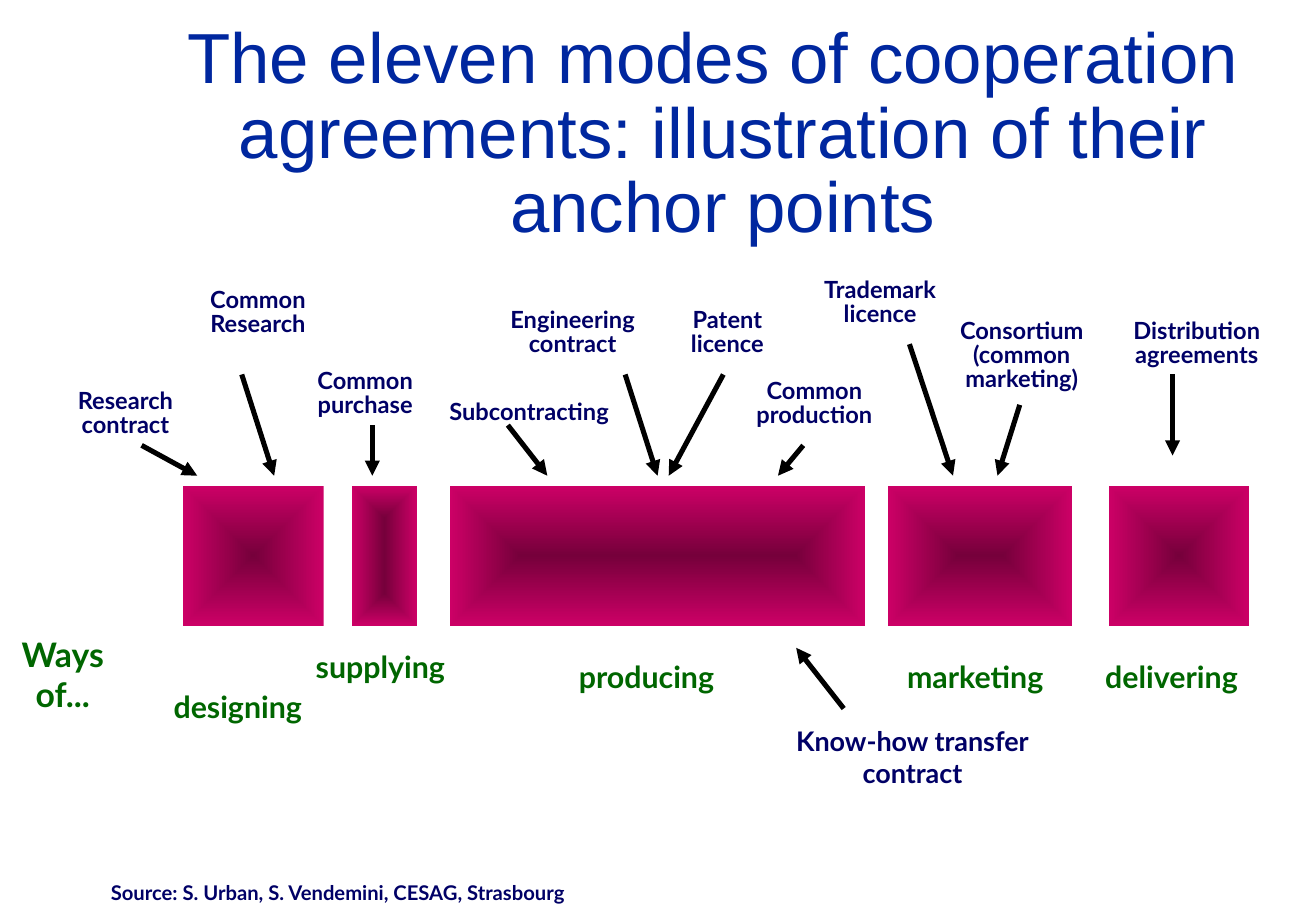
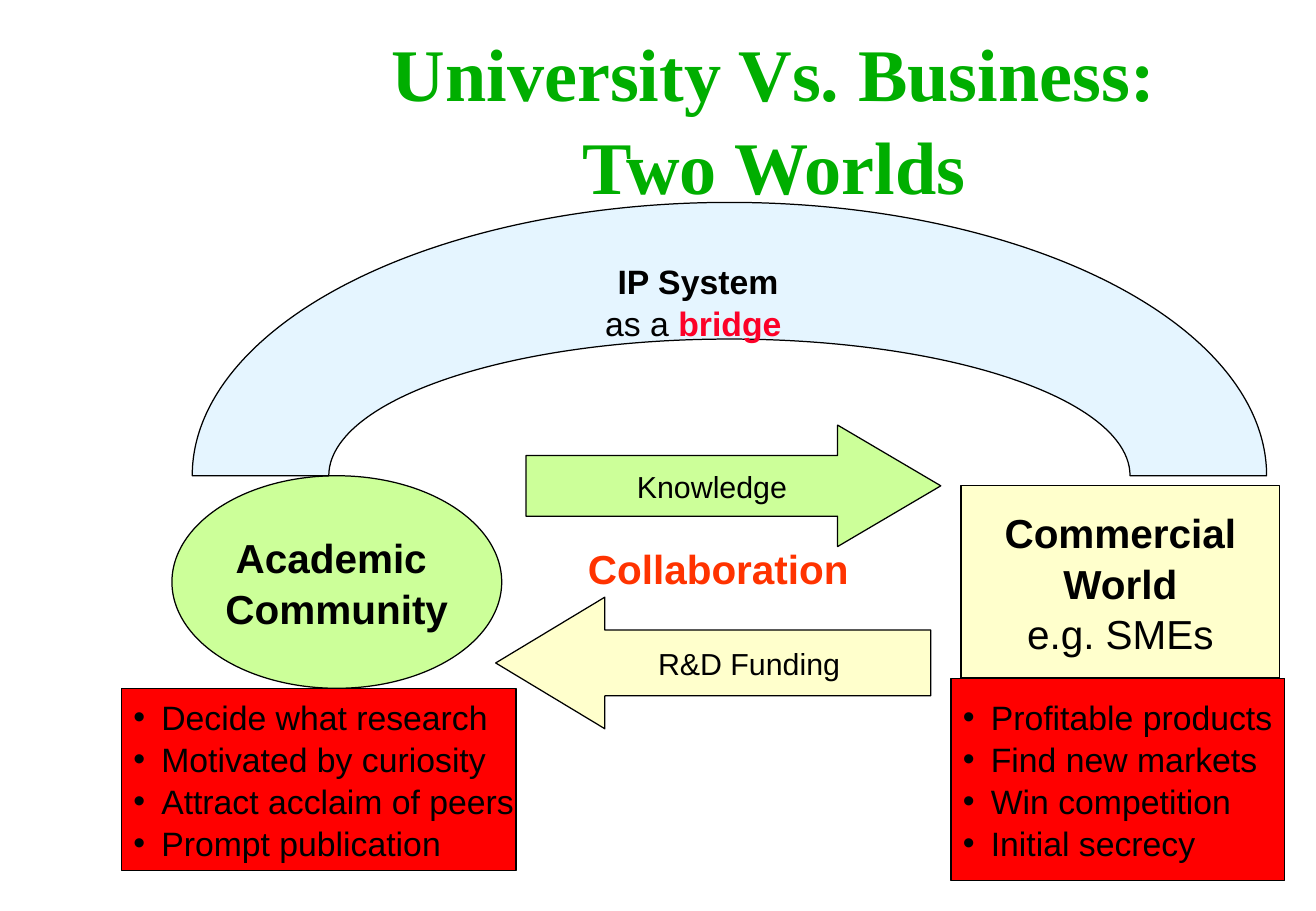
from dataclasses import dataclass, replace

import pptx
import pptx.util
from lxml import etree
from pptx.dml.color import RGBColor
from pptx.enum.shapes import MSO_CONNECTOR, MSO_SHAPE
from pptx.enum.text import MSO_ANCHOR, MSO_AUTO_SIZE, PP_ALIGN
from pptx.oxml import parse_xml
from pptx.oxml.ns import nsdecls, qn


# --- Theme -----------------------------------------------------------------
@dataclass(frozen=True)
class Type:
    font: str
    size: int
    color: str
    bold: bool = False
    spacing: float = 1.0


class Theme:
    black = "000000"
    stage_core, stage_edge = "76003B", "CC0066"
    green, cream, red, sky = "CCFF99", "FFFFCC", "FF0000", "CCECFF"

    modes_title = Type("Arial", 42, "00279F", spacing=0.88)
    worlds_title = Type("Times New Roman", 44, "00AE00", True, 1.04)
    mode = Type("Lato", 14, "000066", True, 0.85)
    transfer = Type("Lato", 16, "000066", True)
    source = Type("Lato", 12, "000066", True)
    stage = Type("Lato", 18, "006600", True)
    ways = Type("Lato", 20, "006600", True)
    body = Type("Arial", 20, black, spacing=1.04)
    body_bold = replace(body, bold=True)
    flow = replace(body, size=18)
    world = replace(body, size=24)
    world_bold = replace(world, bold=True)
    bridge = replace(body_bold, color="FC0128")
    collaboration = replace(world_bold, color="FF3300")


# --- Grid: square cells, twelve to the inch ----------------------------------
CELLS_PER_INCH = 12
SLIDE_WIDTH, SLIDE_HEIGHT = 10.84, 7.5
LABEL_WIDTH = 20


def cells(*counts):
    return [pptx.util.Inches(count / CELLS_PER_INCH) for count in counts]


# --- Elements ----------------------------------------------------------------
def write(frame, lines, style, align=PP_ALIGN.CENTER, wrap=True):
    """Each line is a string, or a list of (words, style) pairs."""
    frame.word_wrap = wrap
    frame.auto_size = MSO_AUTO_SIZE.NONE
    for index, line in enumerate(lines):
        para = frame.add_paragraph() if index else frame.paragraphs[0]
        para.alignment = align
        para.line_spacing = style.spacing
        for words, look in [(line, style)] if isinstance(line, str) else line:
            span = para.add_run()
            span.text = words
            span.font.name = look.font
            span.font.size = pptx.util.Pt(look.size)
            span.font.bold = look.bold
            span.font.color.rgb = RGBColor.from_string(look.color)


def add_titled_page(deck, lines, style, place):
    page = deck.slides.add_slide(deck.slide_layouts[5])
    title = page.shapes.title
    title.left, title.top, title.width, title.height = cells(*place)
    title.text_frame.vertical_anchor = MSO_ANCHOR.MIDDLE
    write(title.text_frame, lines, style)
    return page


def add_text(page, place, lines, style, wrap=True):
    box = page.shapes.add_textbox(*cells(*place))
    write(box.text_frame, lines, style, wrap=wrap)


def add_label(page, center, top, text, style):
    lines = text.split("\n")
    place = (center - LABEL_WIDTH / 2, top, LABEL_WIDTH, 3 * len(lines))
    add_text(page, place, lines, style, wrap=False)


def add_block(page, kind, place, color):
    block = page.shapes.add_shape(kind, *cells(*place))
    block.shadow.inherit = False
    block.fill.solid()
    block.fill.fore_color.rgb = RGBColor.from_string(color)
    block.line.color.rgb = RGBColor.from_string(Theme.black)
    block.line.width = pptx.util.Pt(0.75)
    return block


def add_text_block(page, kind, place, color, lines, style, align=PP_ALIGN.CENTER):
    block = add_block(page, kind, place, color)
    block.text_frame.vertical_anchor = MSO_ANCHOR.MIDDLE
    write(block.text_frame, lines, style, align, wrap=False)
    return block


def add_flow(page, kind, place, color, text, head, indent):
    flow = add_text_block(page, kind, place, color, [text], Theme.flow)
    flow.adjustments[1] = head
    flow.text_frame.margin_left = pptx.util.Inches(indent)


def add_bullet_block(page, place, lines):
    block = add_text_block(page, MSO_SHAPE.RECTANGLE, place, Theme.red, lines,
                           Theme.body, PP_ALIGN.LEFT)
    hang = pptx.util.Inches(0.23)
    for para in block.text_frame.paragraphs:
        properties = para._p.get_or_add_pPr()
        properties.set("marL", str(hang))
        properties.set("indent", str(-hang))
        etree.SubElement(properties, qn("a:buFont"), typeface="Arial")
        etree.SubElement(properties, qn("a:buChar"), char="•")


def add_stage(page, left, width):
    stage = add_block(page, MSO_SHAPE.RECTANGLE, (left, 48, width, 13.8), Theme.stage_edge)
    stage.line.fill.background()
    stops = "".join(
        f'<a:gs pos="{position}"><a:srgbClr val="{color}"/></a:gs>'
        for position, color in ((0, Theme.stage_core), (100000, Theme.stage_edge)))
    gradient = parse_xml(
        f'<a:gradFill {nsdecls("a")} rotWithShape="1"><a:gsLst>{stops}</a:gsLst>'
        '<a:path path="rect"><a:fillToRect l="50000" t="50000" r="50000" b="50000"/>'
        '</a:path></a:gradFill>')
    properties = stage._element.spPr
    properties.replace(properties.find(qn("a:solidFill")), gradient)


def add_arrow(page, start, end):
    arrow = page.shapes.add_connector(MSO_CONNECTOR.STRAIGHT, *cells(*start, *end))
    arrow.line.color.rgb = RGBColor.from_string(Theme.black)
    arrow.line.width = pptx.util.Pt(3)
    etree.SubElement(arrow.line._get_or_add_ln(), qn("a:tailEnd"), type="triangle")
    etree.SubElement(arrow._element.spPr, qn("a:effectLst"))


# --- Cooperation modes -------------------------------------------------------
# left, width, name, centre and top of the name
STAGES = [
    (18.1, 13.9, "designing", 23.5, 67.4),
    (34.8, 6.4, "supplying", 37.6, 63.4),
    (44.5, 41, "producing", 63.9, 64.4),
    (87.8, 18.2, "marketing", 96.4, 64.4),
    (109.6, 13.9, "delivering", 115.8, 64.4),
]
# name, centre and top of the name, arrow start, arrow end
MODES = [
    ("Research\ncontract", 12.4, 38, (14, 44), (19.5, 47)),
    ("Common\nResearch", 25.5, 28, (23.9, 37), (27.1, 47)),
    ("Common\npurchase", 36.1, 36, (36.8, 42), (36.8, 47)),
    ("Subcontracting", 52.3, 39, (50.2, 42), (54.1, 47)),
    ("Engineering\ncontract", 56.6, 30, (61.8, 37), (65, 47)),
    ("Patent\nlicence", 71.9, 30, (71.5, 37), (66.1, 47)),
    ("Common\nproduction", 80.5, 37, (79.4, 44), (76.9, 47)),
    ("Trademark\nlicence", 87, 27, (89.9, 34), (94.2, 47)),
    ("Consortium\n(common\nmarketing)", 101, 31, (100.8, 40), (98.6, 47)),
    ("Distribution\nagreements", 118.3, 31, (115.9, 37), (115.9, 45)),
]


def add_modes_page(deck):
    page = add_titled_page(
        deck,
        ["The eleven modes of cooperation ",
         "agreements: illustration of their anchor points"],
        Theme.modes_title, (16.2, 2, 110.5, 22.8))

    # Chain of stages
    for left, width, name, center, top in STAGES:
        add_stage(page, left, width)
        add_label(page, center, top, name, Theme.stage)
    add_label(page, 6.2, 62, "Ways\nof...", Theme.ways)

    # Modes anchored to the stages
    for name, center, top, start, end in MODES:
        add_label(page, center, top, name, Theme.mode)
        add_arrow(page, start, end)
    add_label(page, 90.2, 71, "Know-how transfer\ncontract", Theme.transfer)
    add_arrow(page, (83.4, 70), (78.7, 64))

    add_label(page, 33.4, 86.4,
              "Source: S. Urban, S. Vendemini, CESAG, Strasbourg", Theme.source)


# --- Two worlds --------------------------------------------------------------
def add_worlds_page(deck):
    page = add_titled_page(deck, ["University Vs. Business:", "Two Worlds"],
                           Theme.worlds_title, (29, 1.5, 95, 20))

    # The two worlds
    add_text_block(page, MSO_SHAPE.OVAL, (17, 47, 32.6, 21), Theme.green,
                   ["Academic ", "Community"], Theme.world_bold)
    add_text_block(page, MSO_SHAPE.RECTANGLE, (95, 48, 31.5, 19), Theme.cream,
                   ["Commercial", "World", [("e.g. SMEs", Theme.world)]],
                   Theme.world_bold)

    # Bridge between them
    bridge = add_block(page, MSO_SHAPE.BLOCK_ARC, (19, 20, 106.2, 54), Theme.sky)
    color = bridge._element.spPr.find(qn("a:solidFill"))[0]
    etree.SubElement(color, qn("a:alpha"), val="50000")
    add_text(page, (50, 25, 38, 9.2),
             ["IP System", [("as a ", Theme.body), ("bridge ", Theme.bridge)]],
             Theme.body_bold)

    # Exchange
    add_text(page, (54, 53, 34, 6), ["Collaboration"], Theme.collaboration)
    add_flow(page, MSO_SHAPE.RIGHT_ARROW, (52, 42, 41, 12), Theme.green,
             "Knowledge", 0.85, 0.17)
    add_flow(page, MSO_SHAPE.LEFT_ARROW, (49, 59, 43, 13), Theme.cream,
             "R&D Funding", 0.83, 0.24)

    # Aims of each world
    add_bullet_block(page, (12, 68, 39, 18), [
        "Decide what research", "Motivated by curiosity",
        "Attract acclaim of peers", "Prompt publication"])
    add_bullet_block(page, (94, 67, 33, 20), [
        "Profitable products", "Find new markets",
        "Win competition", "Initial secrecy"])


def main():
    deck = pptx.Presentation()
    deck.slide_width = pptx.util.Inches(SLIDE_WIDTH)
    deck.slide_height = pptx.util.Inches(SLIDE_HEIGHT)
    add_modes_page(deck)
    add_worlds_page(deck)
    deck.save("out.pptx")


if __name__ == "__main__":
    main()
